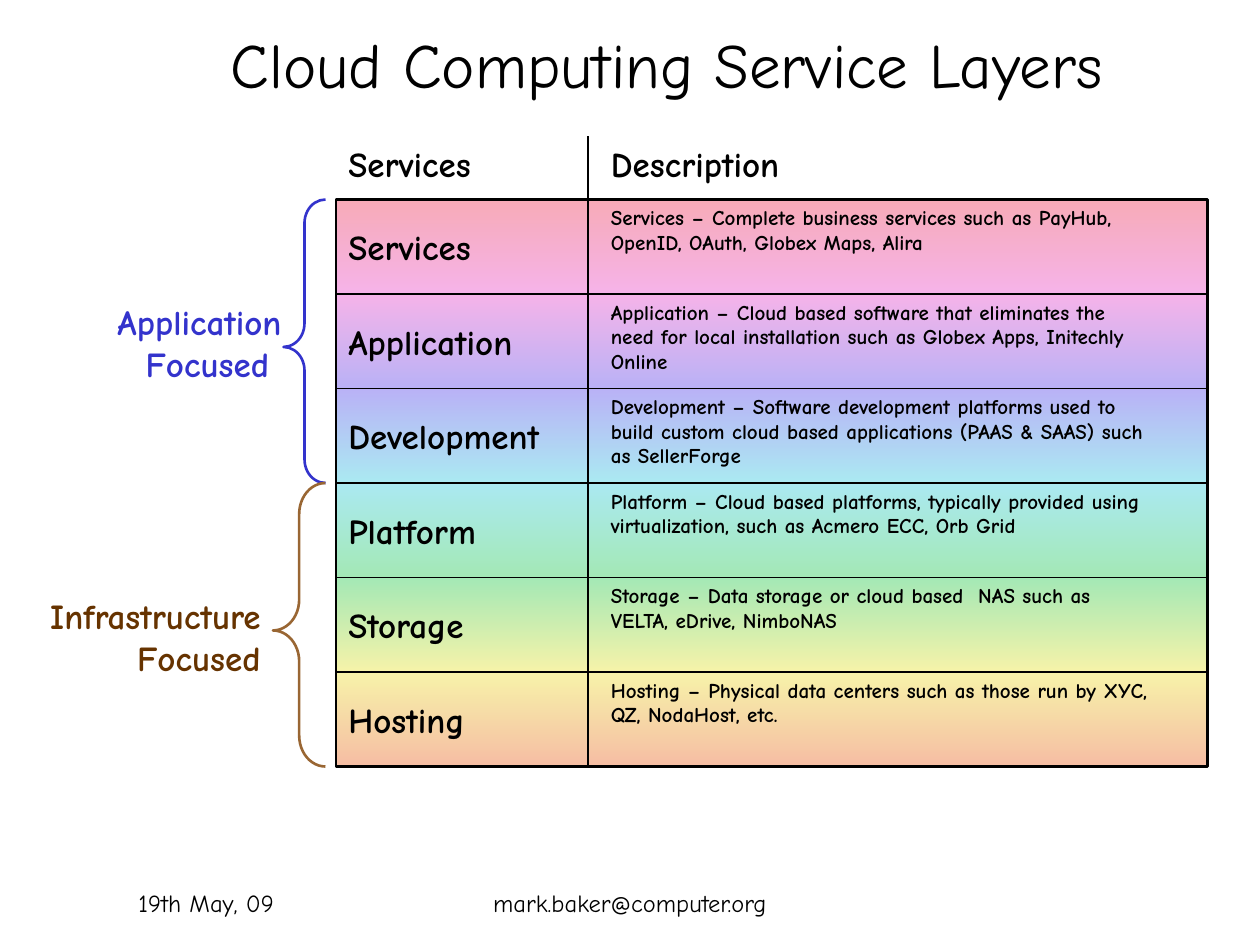
import itertools
from dataclasses import dataclass

import pptx
import pptx.dml.color
import pptx.enum.shapes
import pptx.enum.text
import pptx.oxml.ns
import pptx.oxml.xmlchemy
import pptx.util

SHAPE = pptx.enum.shapes.MSO_SHAPE
ALIGN = pptx.enum.text.PP_ALIGN
ANCHOR = pptx.enum.text.MSO_ANCHOR
EMU_PER_PX = 9525


@dataclass(frozen=True)
class Theme:
    """Colours, type sizes and line widths of the slide."""
    font: str = "Comic Neue"
    ink: str = "000000"
    application: str = "3333CC"
    infrastructure: str = "663300"
    infrastructure_brace: str = "996633"
    rainbow: tuple = ("EB2D4D", "E943C9", "523EEA", "2DCADF",
                      "1BC748", "EBE229", "E95B1B")
    opacity: int = 40
    title: int = 36
    label: int = 20
    detail: int = 12
    footer: int = 14
    leading: int = 14
    thin: float = 0.75
    thick: float = 1.5


THEME = Theme()
TABLE_LEFT, TABLE_TOP, TABLE_WIDTH = 256, 152, 664
ROW_HEIGHT, HEADER_TOP = 72, 104
DIVIDER, DETAIL_LEFT = 448, 456

LAYERS = [
    ("Services", "Complete business services such as PayHub, "
     "OpenID, OAuth, Globex Maps, Alira", 47),
    ("Application", "Cloud based software that eliminates the need for local "
     "installation such as Globex Apps, Initechly Online", 66),
    ("Development", "Software development platforms used to build custom cloud "
     "based applications (PAAS & SAAS) such as SellerForge", 66),
    ("Platform", "Cloud based platforms, typically provided using "
     "virtualization, such as Acmero ECC, Orb Grid", 47),
    ("Storage", "Data storage or cloud based  NAS such as "
     "VELTA, eDrive, NimboNAS", 47),
    ("Hosting", "Physical data centers such as those run by XYC, "
     "QZ, NodaHost, etc.", 47),
]


def px(length):
    """Turn pixels into EMU."""
    return pptx.util.Emu(length * EMU_PER_PX)


def rgb(code):
    """Turn a hex code into a colour."""
    return pptx.dml.color.RGBColor.from_string(code)


def apply(target, values):
    """Set each attribute named in the dict."""
    for name, value in values.items():
        setattr(target, name, value)


def write(shape, text, size, color=THEME.ink, bold=True, anchor=ANCHOR.TOP, **layout):
    """Fill a shape with formatted paragraphs, one for each line."""
    frame = shape.text_frame
    apply(frame, {"word_wrap": True, "vertical_anchor": anchor})
    for index, line in enumerate(text.split("\n")):
        para = frame.add_paragraph() if index else frame.paragraphs[0]
        apply(para, {"alignment": ALIGN.LEFT, **layout})
        span = para.add_run()
        span.text = line
        apply(span.font, {"name": THEME.font, "size": pptx.util.Pt(size), "bold": bold})
        span.font.color.rgb = rgb(color)


def add_text(page, area, text, size, **style):
    """Add a text box."""
    write(page.shapes.add_textbox(*map(px, area)), text, size, **style)


def add_outline(shapes, kind, area, color, width):
    """Add an unfilled preset shape with a coloured outline."""
    shape = shapes.add_shape(kind, *map(px, area))
    shape.shadow.inherit = False
    shape.fill.background()
    shape.line.color.rgb = rgb(color)
    shape.line.width = pptx.util.Pt(width)
    return shape


def add_band(shapes, top, label, colors):
    """Add a labelled row with a translucent vertical gradient."""
    band = add_outline(shapes, SHAPE.RECTANGLE,
                       (TABLE_LEFT, top, TABLE_WIDTH, ROW_HEIGHT), THEME.ink, THEME.thin)
    band.fill.gradient()
    band.fill.gradient_angle = 270
    for stop, color in zip(band.fill.gradient_stops, colors):
        stop.color.rgb = rgb(color)
    for stop in band.element.iter(pptx.oxml.ns.qn("a:gs")):
        alpha = pptx.oxml.xmlchemy.OxmlElement("a:alpha")
        alpha.set("val", str(THEME.opacity * 1000))
        stop[0].append(alpha)
    write(band, label, THEME.label, anchor=ANCHOR.MIDDLE)


def add_brace(page, area, color, curve, middle):
    """Add a left brace with its curve size and point position."""
    brace = add_outline(page.shapes, SHAPE.LEFT_BRACE, area, color, THEME.thick)
    brace.adjustments[0] = curve
    brace.adjustments[1] = middle


def add_divider(page, left, top, bottom):
    """Add a thin vertical line."""
    line = page.shapes.add_connector(pptx.enum.shapes.MSO_CONNECTOR.STRAIGHT,
                                     px(left), px(bottom), px(left), px(top))
    line.line.color.rgb = rgb(THEME.ink)
    line.line.width = pptx.util.Pt(THEME.thin)
    line.element.spPr.append(pptx.oxml.xmlchemy.OxmlElement("a:effectLst"))


def add_layers(page):
    """Add the stack of service layers and their descriptions."""
    group = page.shapes.add_group_shape()
    height = ROW_HEIGHT * len(LAYERS)
    pairs = itertools.pairwise(THEME.rainbow)
    for row, ((name, detail, detail_height), colors) in enumerate(zip(LAYERS, pairs)):
        top = TABLE_TOP + row * ROW_HEIGHT
        add_band(group.shapes, top, name, colors)
        add_text(page, (DETAIL_LEFT, top, 432, detail_height), f"{name} – {detail}",
                 THEME.detail, line_spacing=pptx.util.Pt(THEME.leading))
    add_outline(group.shapes, SHAPE.RECTANGLE,
                (TABLE_LEFT, TABLE_TOP, TABLE_WIDTH, height), THEME.ink, THEME.thick)
    add_divider(page, DIVIDER, HEADER_TOP, TABLE_TOP + height)


def main():
    """Build the slide and save it."""
    deck = pptx.Presentation()
    apply(deck, {"slide_width": px(960), "slide_height": px(720)})
    page = deck.slides.add_slide(deck.slide_layouts[6])

    add_text(page, (72, 8, 872, 80), "Cloud Computing Service Layers", THEME.title,
             bold=False, anchor=ANCHOR.MIDDLE, alignment=ALIGN.CENTER)
    add_text(page, (TABLE_LEFT, HEADER_TOP, 192, 42), "Services", THEME.label)
    add_text(page, (DETAIL_LEFT, HEADER_TOP, 442, 42), "Description", THEME.label)
    add_layers(page)

    add_text(page, (60, 224, 164, 74), "Application\nFocused ", THEME.label,
             color=THEME.application, alignment=ALIGN.RIGHT)
    add_text(page, (-16, 448, 224, 74), "Infrastructure\nFocused", THEME.label,
             color=THEME.infrastructure, alignment=ALIGN.RIGHT)
    half = ROW_HEIGHT * 3
    add_brace(page, (216, TABLE_TOP, 32, half), THEME.application, 0.56, 0.52)
    add_brace(page, (208, TABLE_TOP + half, 40, half),
              THEME.infrastructure_brace, 0.59, 0.52)

    add_text(page, (96, 672, 200, 48), "19th May, 09", THEME.footer, bold=False)
    add_text(page, (328, 672, 304, 48), "mark.baker@computer.org", THEME.footer,
             bold=False, alignment=ALIGN.CENTER)
    deck.save("out.pptx")


if __name__ == "__main__":
    main()
